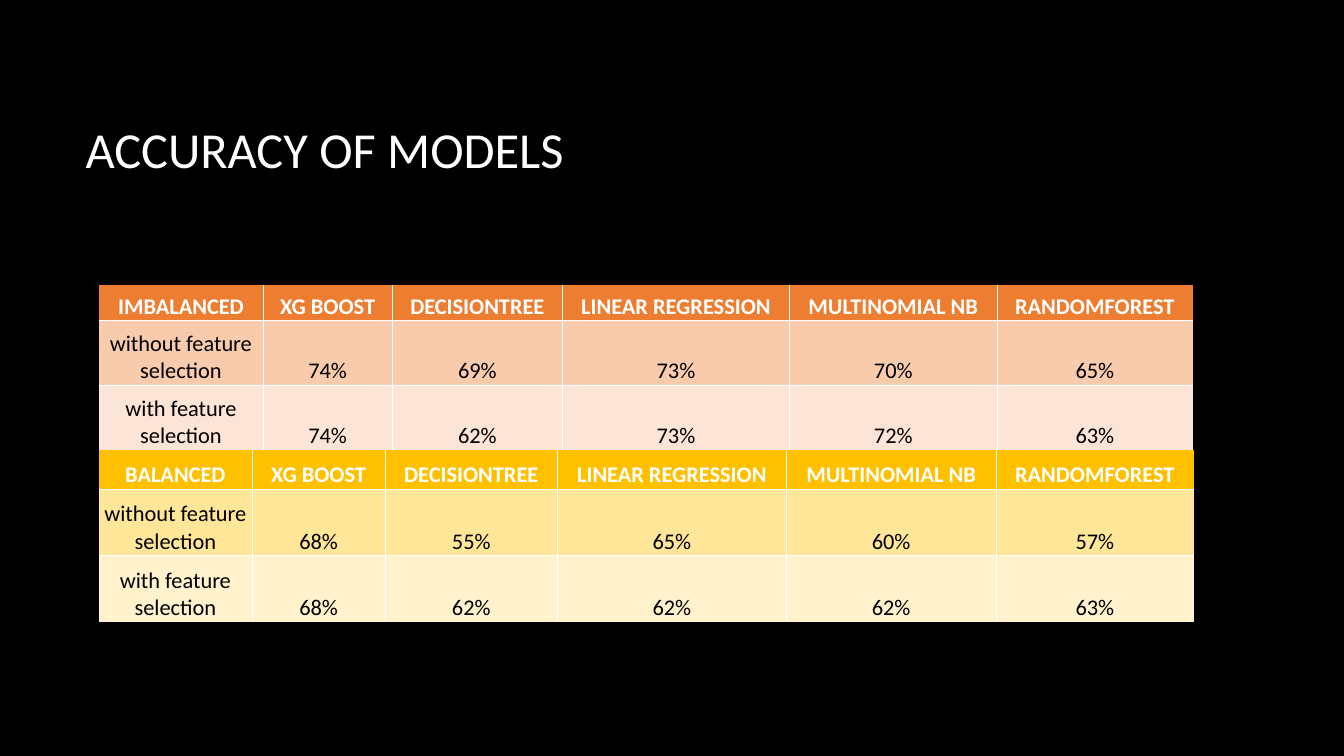
from dataclasses import dataclass

from lxml.etree import SubElement
from pptx import Presentation
from pptx.dml.color import RGBColor
from pptx.enum.text import MSO_ANCHOR, PP_ALIGN
from pptx.oxml.ns import qn
from pptx.slide import Slide
from pptx.table import _Cell
from pptx.util import Inches, Pt

BLACK = RGBColor(0x00, 0x00, 0x00)
WHITE = RGBColor(0xFF, 0xFF, 0xFF)
ORANGE = RGBColor(0xED, 0x7D, 0x31)
PEACH = RGBColor(0xF8, 0xCB, 0xAD)
PALE_PEACH = RGBColor(0xFC, 0xE4, 0xD6)
GOLD = RGBColor(0xFF, 0xC0, 0x00)
YELLOW = RGBColor(0xFF, 0xE6, 0x99)
PALE_YELLOW = RGBColor(0xFF, 0xF2, 0xCC)

FONT = "Calibri"
PLAIN_TABLE_STYLE = "{2D5ABB26-0587-4C30-8999-92F81FD0307C}"
TABLE_LEFT = 0.98
MODELS = ["XG BOOST", "DECISIONTREE", "LINEAR REGRESSION", "MULTINOMIAL NB", "RANDOMFOREST"]


@dataclass(frozen=True)
class AccuracyTable:
    heading: str
    top: float
    column_widths: list[float]
    row_heights: list[float]
    row_fills: list[RGBColor]
    without_selection: list[int]
    with_selection: list[int]

    def rows(self) -> list[list[str]]:
        return [
            [self.heading, *MODELS],
            ["without feature selection", *(f"{value}%" for value in self.without_selection)],
            ["with feature selection", *(f"{value}%" for value in self.with_selection)],
        ]


ACCURACY_TABLES = [
    AccuracyTable(
        "IMBALANCED", 2.83,
        [1.63, 1.28, 1.69, 2.25, 2.06, 1.94], [0.35, 0.64, 0.64],
        [ORANGE, PEACH, PALE_PEACH],
        [74, 69, 73, 70, 65], [74, 62, 73, 72, 63],
    ),
    AccuracyTable(
        "BALANCED", 4.46,
        [1.52, 1.32, 1.71, 2.27, 2.08, 1.96], [0.39, 0.66, 0.66],
        [GOLD, YELLOW, PALE_YELLOW],
        [68, 55, 65, 60, 57], [68, 62, 62, 62, 63],
    ),
]


def add_title(slide: Slide, text: str) -> None:
    title = slide.shapes.add_textbox(Inches(0.75), Inches(0.68), Inches(11.08), Inches(1.59))
    frame = title.text_frame
    frame.word_wrap = True
    frame.vertical_anchor = MSO_ANCHOR.MIDDLE
    paragraph = frame.paragraphs[0]
    paragraph.text = text
    paragraph.font.name = FONT
    paragraph.font.size = Pt(36)
    paragraph.font.color.rgb = WHITE


def add_border(cell: _Cell, side: str) -> None:
    properties = cell._tc.get_or_add_tcPr()
    line = SubElement(properties, qn(f"a:ln{side}"), w=str(Pt(0.5)))
    fill = SubElement(line, qn("a:solidFill"))
    SubElement(fill, qn("a:srgbClr"), val=str(WHITE))


def style_cell(cell: _Cell, text: str, fill: RGBColor, is_header: bool) -> None:
    cell.margin_left = cell.margin_right = cell.margin_top = Inches(0.01)
    cell.margin_bottom = 0
    cell.vertical_anchor = MSO_ANCHOR.BOTTOM
    cell.fill.solid()
    cell.fill.fore_color.rgb = fill
    paragraph = cell.text_frame.paragraphs[0]
    paragraph.text = text
    paragraph.alignment = PP_ALIGN.CENTER
    paragraph.font.name = FONT
    paragraph.font.size = Pt(16)
    paragraph.font.bold = is_header
    paragraph.font.color.rgb = WHITE if is_header else BLACK


def add_accuracy_table(slide: Slide, accuracy: AccuracyTable) -> None:
    rows = accuracy.rows()
    last_row = len(rows) - 1
    last_column = len(rows[0]) - 1
    frame = slide.shapes.add_table(
        len(rows), len(rows[0]), Inches(TABLE_LEFT), Inches(accuracy.top),
        Inches(sum(accuracy.column_widths)), Inches(sum(accuracy.row_heights)),
    )
    table = frame.table
    table.horz_banding = False
    table._tbl.tblPr.find(qn("a:tableStyleId")).text = PLAIN_TABLE_STYLE
    for column, width in zip(table.columns, accuracy.column_widths):
        column.width = Inches(width)
    for row, height in zip(table.rows, accuracy.row_heights):
        row.height = Inches(height)

    for row_index, texts in enumerate(rows):
        for column_index, text in enumerate(texts):
            cell = table.cell(row_index, column_index)
            inner_sides = {
                "L": column_index > 0,
                "R": column_index < last_column,
                "T": row_index > 0,
                "B": row_index < last_row,
            }
            for side, is_inner in inner_sides.items():
                if is_inner:
                    add_border(cell, side)
            style_cell(cell, text, accuracy.row_fills[row_index], row_index == 0)


def main() -> None:
    presentation = Presentation()
    presentation.slide_width = Inches(13.33)
    presentation.slide_height = Inches(7.5)
    slide = presentation.slides.add_slide(presentation.slide_layouts[6])
    slide.background.fill.solid()
    slide.background.fill.fore_color.rgb = BLACK
    add_title(slide, "ACCURACY OF MODELS")
    for accuracy in ACCURACY_TABLES:
        add_accuracy_table(slide, accuracy)
    presentation.save("out.pptx")


if __name__ == "__main__":
    main()
